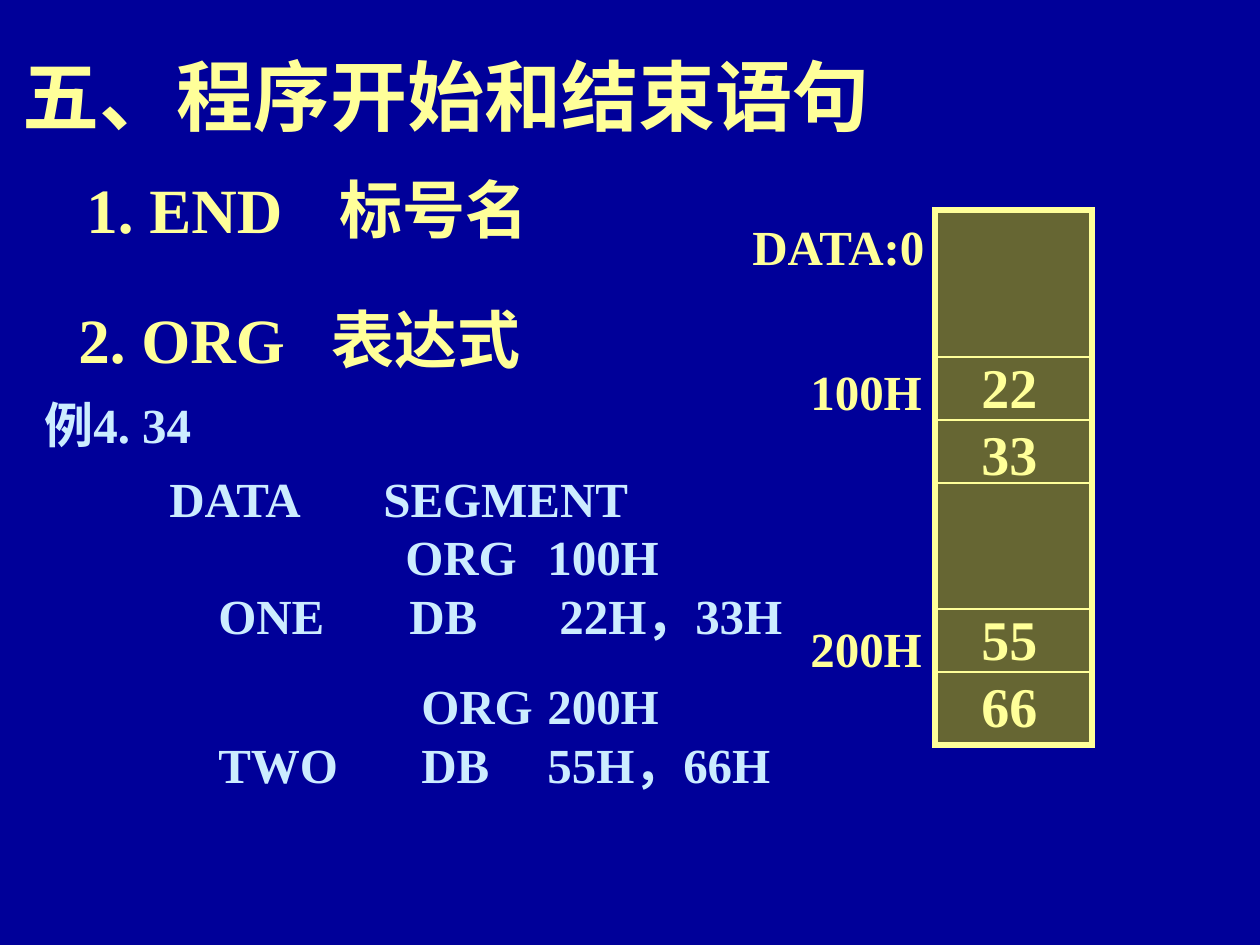
from dataclasses import dataclass

from lxml.etree import SubElement
from pptx import Presentation
from pptx.dml.color import RGBColor
from pptx.enum.shapes import MSO_CONNECTOR as Connector, MSO_SHAPE as Shape
from pptx.enum.text import MSO_ANCHOR as Anchor, PP_ALIGN as Align
from pptx.oxml.ns import qn
from pptx.util import Emu, Pt


@dataclass(frozen=True)
class Theme:
    background = RGBColor(0x00, 0x00, 0x99)
    yellow = RGBColor(0xFF, 0xFF, 0x99)
    pale_blue = RGBColor(0xCC, 0xEC, 0xFF)
    olive = RGBColor(0x66, 0x66, 0x33)
    font = "Times New Roman"
    title_size = Pt(44)
    heading_size = Pt(36)
    value_size = Pt(32)
    label_size = Pt(28)


theme = Theme()
PIXELS_PER_INCH = 126


def px(*lengths):
    return [Emu(round(length * 914400 / PIXELS_PER_INCH)) for length in lengths]


def write_lines(shape, lines, size, color, wrap=False, align=Align.LEFT):
    """Fill a shape with one paragraph per (text, tab stops in px) pair."""
    frame = shape.text_frame
    frame.word_wrap = wrap
    for index, (text, stops) in enumerate(lines):
        paragraph = frame.add_paragraph() if index else frame.paragraphs[0]
        paragraph.text = text
        paragraph.alignment = align
        if stops:
            tab_list = SubElement(paragraph._p.get_or_add_pPr(), qn("a:tabLst"))
            for stop in px(*stops):
                SubElement(tab_list, qn("a:tab"), pos=str(stop), algn="l")
        font = paragraph.font
        font.name, font.size, font.bold = theme.font, size, True
        font.color.rgb = color
    return frame


presentation = Presentation()
presentation.slide_width, presentation.slide_height = px(1260, 945)
slide = presentation.slides.add_slide(presentation.slide_layouts[5])
slide.background.fill.solid()
slide.background.fill.fore_color.rgb = theme.background
shapes = slide.shapes

# Title and headings
title = shapes.title
title.left, title.top, title.width, title.height = px(0, 32, 892, 126)
write_lines(title, [("五、程序开始和结束语句", [])], theme.title_size, theme.yellow,
            wrap=True, align=Align.CENTER)
title.text_frame.vertical_anchor = Anchor.MIDDLE

for left, top, text in [(74, 164, "1. END\t标号名"), (66, 294, "2. ORG\t表达式")]:
    heading = shapes.add_textbox(*px(left, top, 467, 88))
    write_lines(heading, [(text, [253])], theme.heading_size, theme.yellow)

# Example program
example = shapes.add_textbox(*px(32, 388, 184, 72))
write_lines(example, [("例4. 34", [])], theme.label_size, theme.pale_blue)

code_lines = [
    ("DATA\tSEGMENT", [214]),
    ("\tORG\t100H", [236, 378]),
    ("\tONE\tDB\t22H，33H", [49, 240, 390]),
    ("\tORG\t200H", [252, 378]),
    ("\tTWO\tDB\t55H，66H", [49, 252, 378]),
]
code = shapes.add_textbox(*px(157, 462, 746, 338))
code_frame = write_lines(code, code_lines, theme.label_size, theme.pale_blue, wrap=True)
code_frame.paragraphs[3].space_before = Pt(17.5)

# Memory column
column_left, column_top, column_width, column_height = 935, 210, 157, 535
memory = shapes.add_shape(Shape.RECTANGLE,
                          *px(column_left, column_top, column_width, column_height))
memory.shadow.inherit = False
memory.fill.solid()
memory.fill.fore_color.rgb = theme.olive
memory.line.color.rgb = theme.yellow
memory.line.width = Pt(3)
SubElement(memory._element.spPr.find(qn("a:ln")), qn("a:miter"), lim="800000")

for top, values in [(346, ("22", "33")), (598, ("55", "66"))]:
    cells = shapes.add_textbox(*px(969, top, 81, 147))
    write_lines(cells, [(value, []) for value in values], theme.value_size, theme.yellow)

cell_height, first_divider = 63, 357
for step in (0, 1, 2, 4, 5):
    y = first_divider + step * cell_height
    divider = shapes.add_connector(Connector.STRAIGHT,
                                   *px(column_left, y, column_left + column_width, y))
    divider.line.color.rgb = theme.yellow
    divider.line.width = Pt(0.75)
    SubElement(divider._element.spPr, qn("a:effectLst"))

for left, top, width, text in [(740, 210, 204, "DATA:0"), (798, 355, 150, "100H"),
                               (798, 612, 150, "200H")]:
    label = shapes.add_textbox(*px(left, top, width, 72))
    write_lines(label, [(text, [])], theme.label_size, theme.yellow)

presentation.save("out.pptx")
